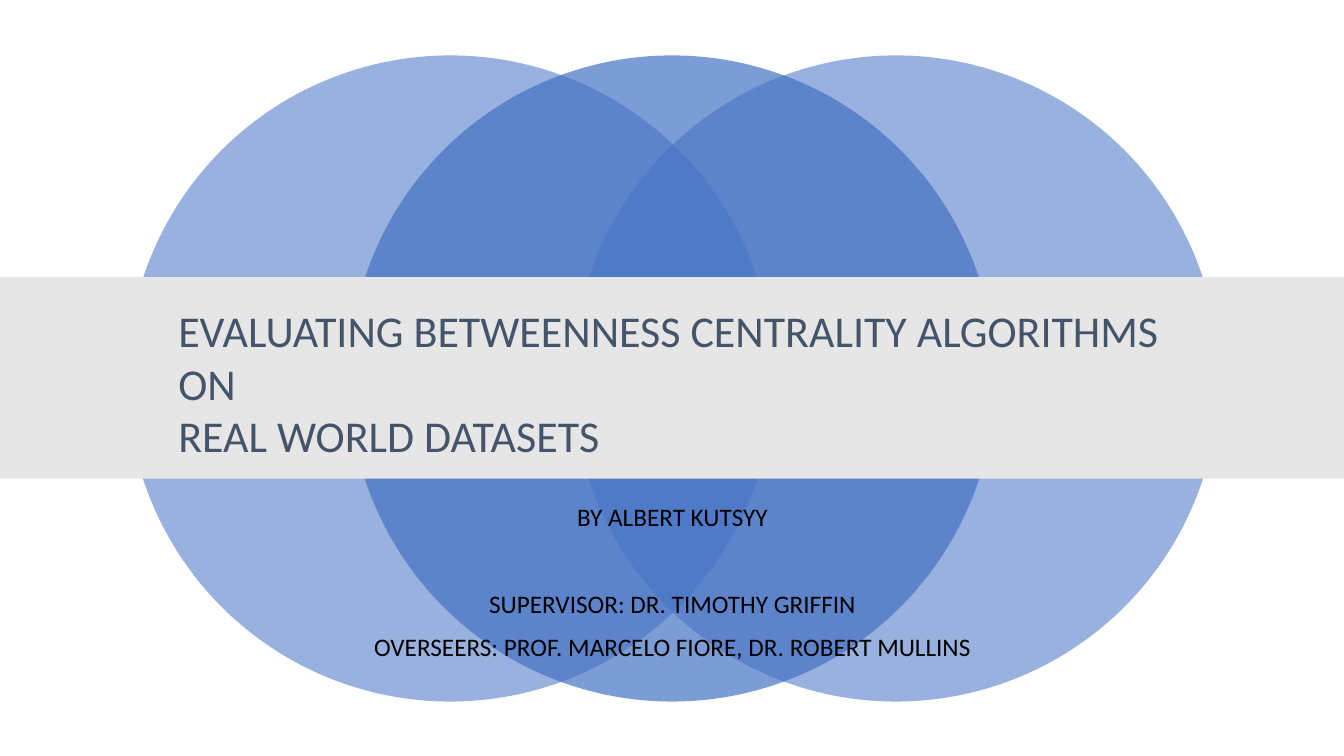
from lxml import etree
from pptx import Presentation
from pptx.dml.color import RGBColor
from pptx.enum.shapes import MSO_SHAPE
from pptx.enum.text import MSO_ANCHOR, PP_ALIGN
from pptx.oxml.ns import qn
from pptx.util import Inches, Pt

OVAL, RECTANGLE = MSO_SHAPE.OVAL, MSO_SHAPE.RECTANGLE
TOP, MIDDLE = MSO_ANCHOR.TOP, MSO_ANCHOR.MIDDLE
LEFT, CENTER = PP_ALIGN.LEFT, PP_ALIGN.CENTER

WHITE = RGBColor(0xFF, 0xFF, 0xFF)
BLACK = RGBColor(0x00, 0x00, 0x00)
BLUE = RGBColor(0x44, 0x72, 0xC4)
LIGHT_GRAY = RGBColor(0xE7, 0xE6, 0xE6)
SLATE = RGBColor(0x44, 0x54, 0x6A)

SLIDE_WIDTH, SLIDE_HEIGHT = 13.33, 7.5
CIRCLE_SIZE, CIRCLE_TOP = 6.41, 0.55
# Left edge and opacity in percent; the middle circle lies on top.
CIRCLES = [(1.26, 55), (5.68, 55), (3.46, 70)]

TITLE = "EVALUATING BETWEENNESS CENTRALITY ALGORITHMS ON\vREAL WORLD DATASETS"
# Text and space before in points.
CREDITS = [
    ("BY ALBERT KUTSYY", 3),
    ("SUPERVISOR: DR. TIMOTHY GRIFFIN", 35),
    ("OVERSEERS: PROF. MARCELO FIORE, DR. ROBERT MULLINS", 3),
]


class TitleSlide:
    font_name = "Calibri"

    def __init__(self, presentation):
        self.slide = presentation.slides.add_slide(presentation.slide_layouts[6])
        background = self.slide.background.fill
        background.solid()
        background.fore_color.rgb = WHITE

    def filled_shape(self, shapes, kind, left, top, width, height, color, opacity=100):
        shape = shapes.add_shape(
            kind, Inches(left), Inches(top), Inches(width), Inches(height))
        shape.shadow.inherit = False
        shape.fill.solid()
        shape.fill.fore_color.rgb = color
        shape.line.fill.background()
        if opacity < 100:
            color_element = shape.element.find(".//" + qn("a:srgbClr"))
            etree.SubElement(color_element, qn("a:alpha"), val=str(opacity * 1000))

    def circles(self):
        group = self.slide.shapes.add_group_shape()
        for left, opacity in CIRCLES:
            self.filled_shape(group.shapes, OVAL, left, CIRCLE_TOP,
                              CIRCLE_SIZE, CIRCLE_SIZE, BLUE, opacity)

    def band(self, top, height):
        self.filled_shape(self.slide.shapes, RECTANGLE, 0, top,
                          SLIDE_WIDTH, height, LIGHT_GRAY)

    def text_box(self, left, top, width, height, anchor=TOP):
        """Add an empty wrapping text box and return its text frame."""
        box = self.slide.shapes.add_textbox(
            Inches(left), Inches(top), Inches(width), Inches(height))
        box.text_frame.word_wrap = True
        box.text_frame.vertical_anchor = anchor
        return box.text_frame

    def set_text(self, paragraph, text, size, color, align=LEFT, before=0, after=0):
        paragraph.text = text
        paragraph.alignment = align
        paragraph.space_before = Pt(before)
        paragraph.space_after = Pt(after)
        for run in paragraph.runs:
            run.font.name = self.font_name
            run.font.size = Pt(size)
            run.font.color.rgb = color


def main():
    presentation = Presentation()
    presentation.slide_width = Inches(SLIDE_WIDTH)
    presentation.slide_height = Inches(SLIDE_HEIGHT)

    page = TitleSlide(presentation)
    page.circles()
    page.band(top=2.75, height=2)

    title = page.text_box(1.67, 3.04, 10, 1.51, anchor=MIDDLE)
    page.set_text(title.paragraphs[0], TITLE, size=31.4, color=SLATE)

    credits = page.text_box(1.67, 4.92, 10, 2.47)
    for index, (text, before) in enumerate(CREDITS):
        paragraph = credits.add_paragraph() if index else credits.paragraphs[0]
        page.set_text(paragraph, text, size=18, color=BLACK, align=CENTER,
                      before=before, after=6)

    presentation.save("out.pptx")


if __name__ == "__main__":
    main()
